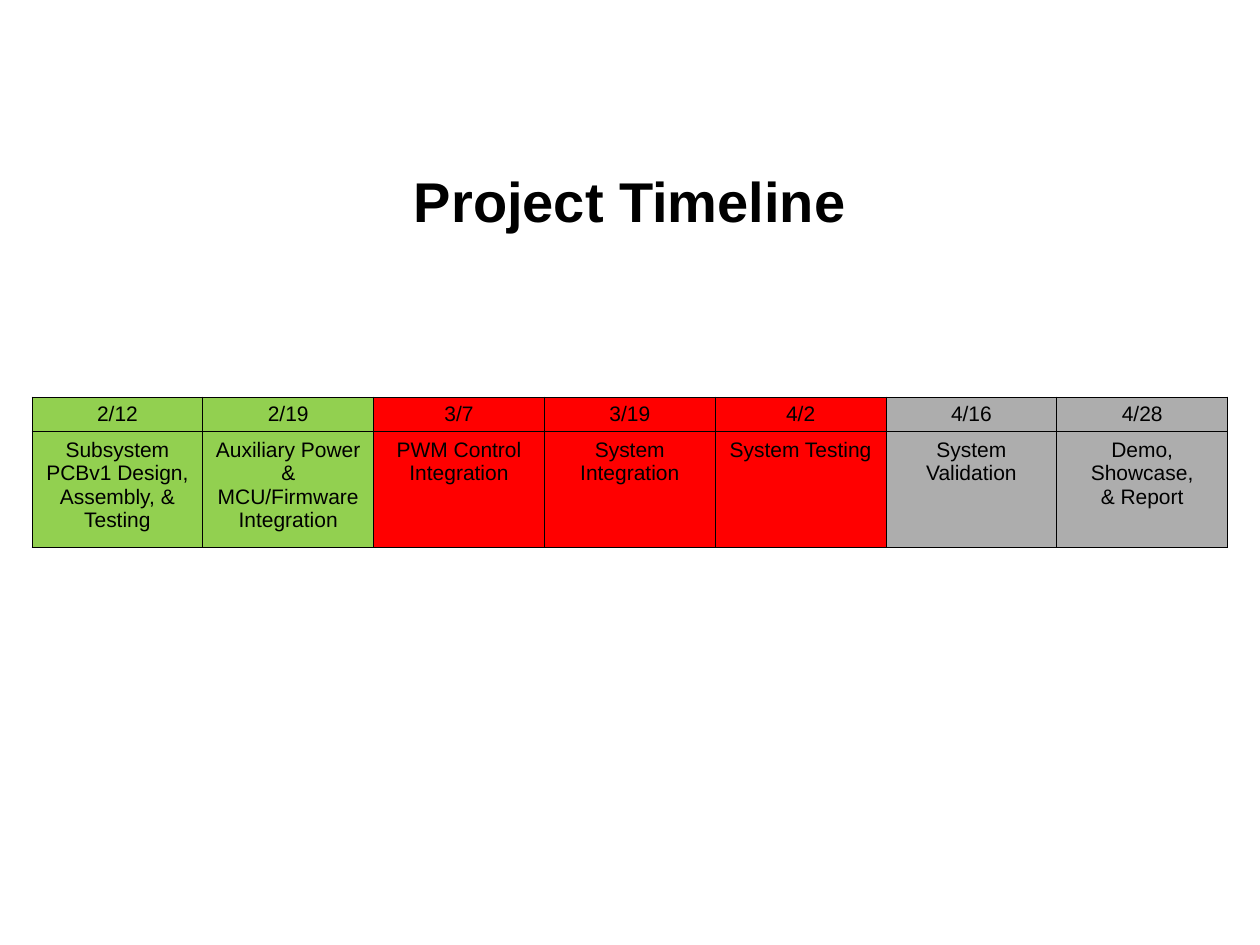
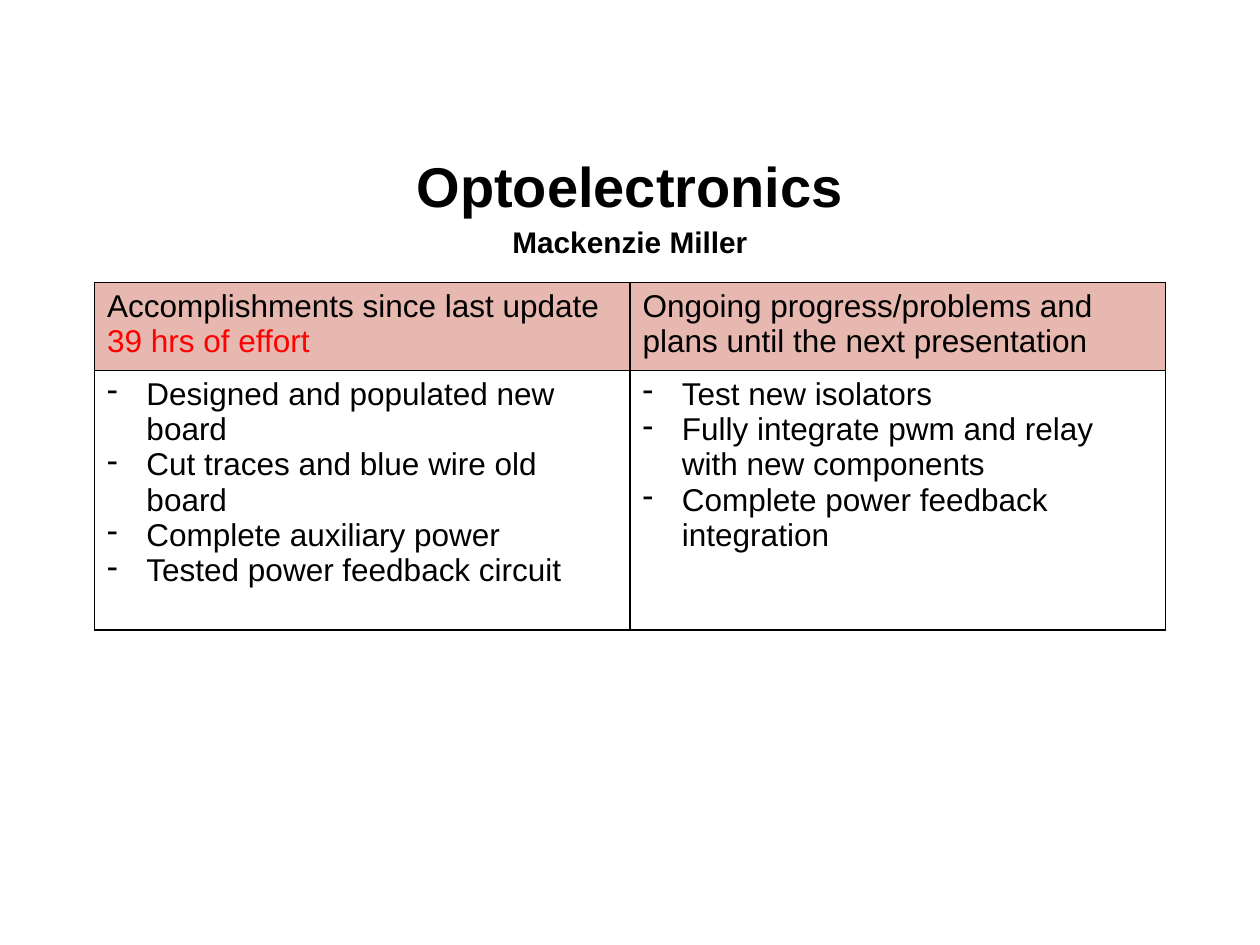
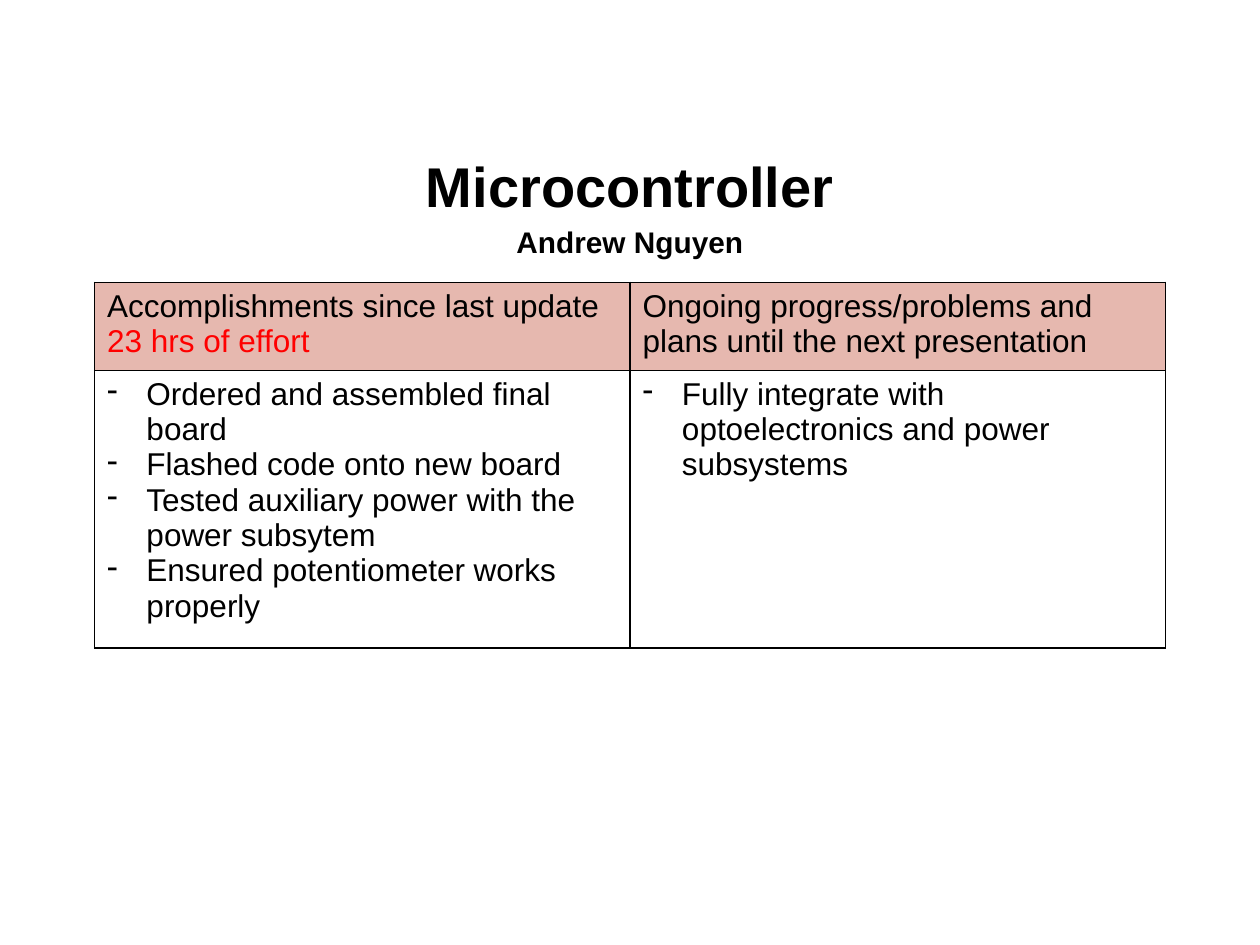
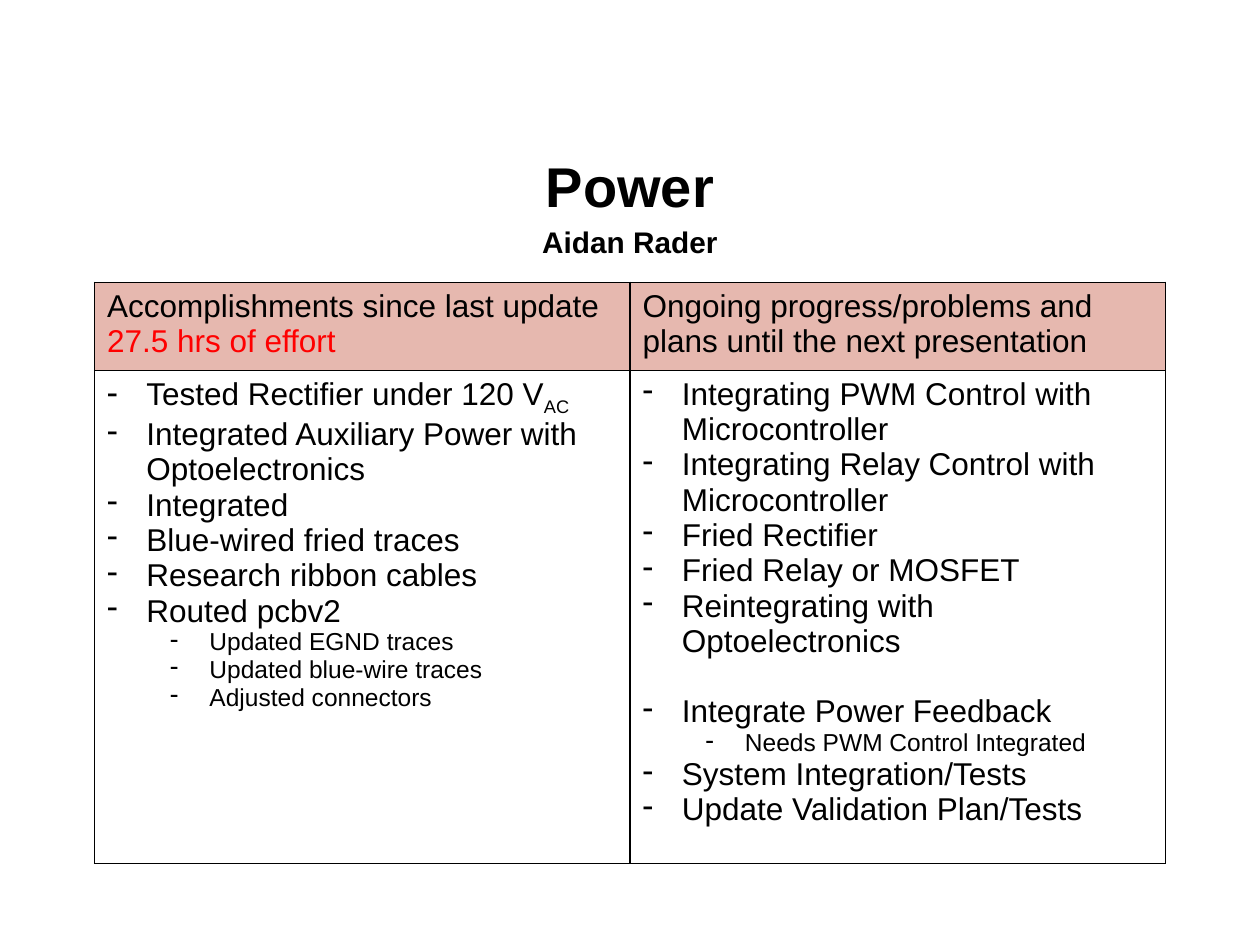
from dataclasses import dataclass

from pptx import Presentation
from pptx.dml.color import RGBColor
from pptx.enum.text import MSO_ANCHOR as Anchor, PP_ALIGN as Align
from pptx.oxml import parse_xml
from pptx.oxml.ns import nsdecls
from pptx.util import Pt

BLACK = RGBColor(0x00, 0x00, 0x00)
RED = RGBColor(0xFF, 0x00, 0x00)
GREEN = RGBColor(0x92, 0xD0, 0x50)
GRAY = RGBColor(0xAD, 0xAD, 0xAD)
ROSE = RGBColor(0xE6, 0xB8, 0xAF)

FONT = "Arial"
ITEM_SIZES = (18, 14)
ITEM_INDENTS = (22.5, 58.5)
HANGING = 22.5
BLANK_LAYOUT = 6

MILESTONES = [
    ("2/12", ["Subsystem PCBv1 Design, Assembly, & Testing"], GREEN),
    ("2/19", ["Auxiliary Power & MCU/Firmware Integration"], GREEN),
    ("3/7", ["PWM Control Integration"], RED),
    ("3/19", ["System Integration"], RED),
    ("4/2", ["System Testing"], RED),
    ("4/16", ["System", "Validation"], GRAY),
    ("4/28", ["Demo, Showcase,", "& Report"], GRAY),
]


@dataclass
class Item:
    text: str
    level: int = 0
    subscript: str = ""
    gap: float = 0


@dataclass
class Update:
    subsystem: str
    member: str
    hours: str
    done: list
    planned: list
    body_height: float = 148.3


UPDATES = [
    Update(
        "Optoelectronics", "Mackenzie Miller", "39",
        [Item("Designed and populated new board"),
         Item("Cut traces and blue wire old board"),
         Item("Complete auxiliary power"),
         Item("Tested power feedback circuit")],
        [Item("Test new isolators"),
         Item("Fully integrate pwm and relay with new components"),
         Item("Complete power feedback integration")],
    ),
    Update(
        "Microcontroller", "Andrew Nguyen", "23",
        [Item("Ordered and assembled final board"),
         Item("Flashed code onto new board"),
         Item("Tested auxiliary power with the power subsytem"),
         Item("Ensured potentiometer works properly")],
        [Item("Fully integrate with optoelectronics and power subsystems")],
    ),
    Update(
        "Power", "Aidan Rader", "27.5",
        [Item("Tested Rectifier under 120 V", subscript="AC"),
         Item("Integrated Auxiliary Power with Optoelectronics"),
         Item("Integrated"),
         Item("Blue-wired fried traces"),
         Item("Research ribbon cables"),
         Item("Routed pcbv2"),
         Item("Updated EGND traces", level=1),
         Item("Updated blue-wire traces", level=1),
         Item("Adjusted connectors", level=1)],
        [Item("Integrating PWM Control with Microcontroller"),
         Item("Integrating Relay Control with Microcontroller"),
         Item("Fried Rectifier"),
         Item("Fried Relay or MOSFET"),
         Item("Reintegrating with Optoelectronics"),
         Item("Integrate Power Feedback", gap=20.2),
         Item("Needs PWM Control Integrated", level=1),
         Item("System Integration/Tests"),
         Item("Update Validation Plan/Tests")],
        body_height=279.4,
    ),
]


def style(paragraph, size, bold=False, align=Align.LEFT):
    paragraph.alignment = align
    font = paragraph.font
    font.name, font.size, font.bold = FONT, Pt(size), bold
    font.color.rgb = BLACK


def paragraphs_for(frame, entries):
    """Yield one paragraph of the frame for each entry, reusing the first."""
    for index, entry in enumerate(entries):
        yield (frame.add_paragraph() if index else frame.paragraphs[0]), entry


def add_title(slide, title, member=None):
    box = slide.shapes.add_textbox(Pt(36), Pt(82.8), Pt(648), Pt(63.4))
    frame = box.text_frame
    frame.word_wrap = True
    frame.vertical_anchor = Anchor.MIDDLE
    lines = [(title, 32)] + ([(member, 17)] if member else [])
    for paragraph, (text, size) in paragraphs_for(frame, lines):
        paragraph.text = text
        if member:
            paragraph.line_spacing = 1.15
        style(paragraph, size, bold=True, align=Align.CENTER)


def add_grid(slide, left, top, column_width, columns, row_heights):
    """Add a table with equal columns and no built-in banding."""
    table = slide.shapes.add_table(
        len(row_heights), columns, Pt(left), Pt(top),
        Pt(column_width * columns), Pt(sum(row_heights))).table
    table.first_row = table.horz_banding = False
    for column in table.columns:
        column.width = Pt(column_width)
    for row, height in zip(table.rows, row_heights):
        row.height = Pt(height)
    return table


def finish_cell(cell, border, fill=None):
    """Draw the four borders, then the fill, which must follow them."""
    properties = cell._tc.get_or_add_tcPr()
    for side in ("lnL", "lnR", "lnT", "lnB"):
        properties.append(parse_xml(
            f'<a:{side} {nsdecls("a")} w="{Pt(border)}"><a:solidFill>'
            f'<a:srgbClr val="{BLACK}"/></a:solidFill></a:{side}>'))
    if fill is None:
        cell.fill.background()
    else:
        cell.fill.solid()
        cell.fill.fore_color.rgb = fill


def add_timeline(slide):
    table = add_grid(slide, 18.3, 226.8, 97.6, len(MILESTONES), [20, 66])
    for column, (date, task_lines, status) in enumerate(MILESTONES):
        date_cell, task_cell = table.cell(0, column), table.cell(1, column)
        date_cell.vertical_anchor = Anchor.BOTTOM
        date_cell.margin_left = date_cell.margin_right = Pt(0.7)
        date_cell.margin_top = Pt(0.7)
        for cell, lines in ((date_cell, [date]), (task_cell, task_lines)):
            for paragraph, text in paragraphs_for(cell.text_frame, lines):
                paragraph.text = text
                style(paragraph, 12, align=Align.CENTER)
            finish_cell(cell, 0.5, status)


def add_items(cell, items):
    for paragraph, item in paragraphs_for(cell.text_frame, items):
        paragraph.add_run().text = item.text
        if item.subscript:
            subscript = paragraph.add_run()
            subscript.text = item.subscript
            subscript._r.get_or_add_rPr().set("baseline", "-25000")
        paragraph.level = item.level
        properties = paragraph._p.get_or_add_pPr()
        properties.set("marL", str(Pt(ITEM_INDENTS[item.level])))
        properties.set("indent", str(-Pt(HANGING)))
        properties.append(parse_xml(f'<a:buChar {nsdecls("a")} char="-"/>'))
        if item.gap:
            paragraph.space_before = Pt(item.gap)
        style(paragraph, ITEM_SIZES[item.level])


def add_update_table(slide, update):
    table = add_grid(slide, 54, 161.3, 306, 2, [50.4, update.body_height])
    headings = [
        ("Accomplishments since last update ", f"{update.hours} hrs of effort"),
        ("Ongoing progress/problems and plans until the next presentation", ""),
    ]
    for column, (heading, effort) in enumerate(headings):
        cell = table.cell(0, column)
        paragraph = cell.text_frame.paragraphs[0]
        paragraph.add_run().text = heading
        if effort:
            effort_run = paragraph.add_run()
            effort_run.text = effort
            effort_run.font.color.rgb = RED
        style(paragraph, ITEM_SIZES[0])
        finish_cell(cell, 1, ROSE)
    for column, items in enumerate((update.done, update.planned)):
        cell = table.cell(1, column)
        add_items(cell, items)
        finish_cell(cell, 1)


def main():
    deck = Presentation()
    deck.slide_width, deck.slide_height = Pt(720), Pt(540)
    blank = deck.slide_layouts[BLANK_LAYOUT]

    timeline = deck.slides.add_slide(blank)
    add_title(timeline, "Project Timeline")
    add_timeline(timeline)

    for update in UPDATES:
        slide = deck.slides.add_slide(blank)
        add_title(slide, update.subsystem, update.member)
        add_update_table(slide, update)

    deck.save("out.pptx")


if __name__ == "__main__":
    main()
